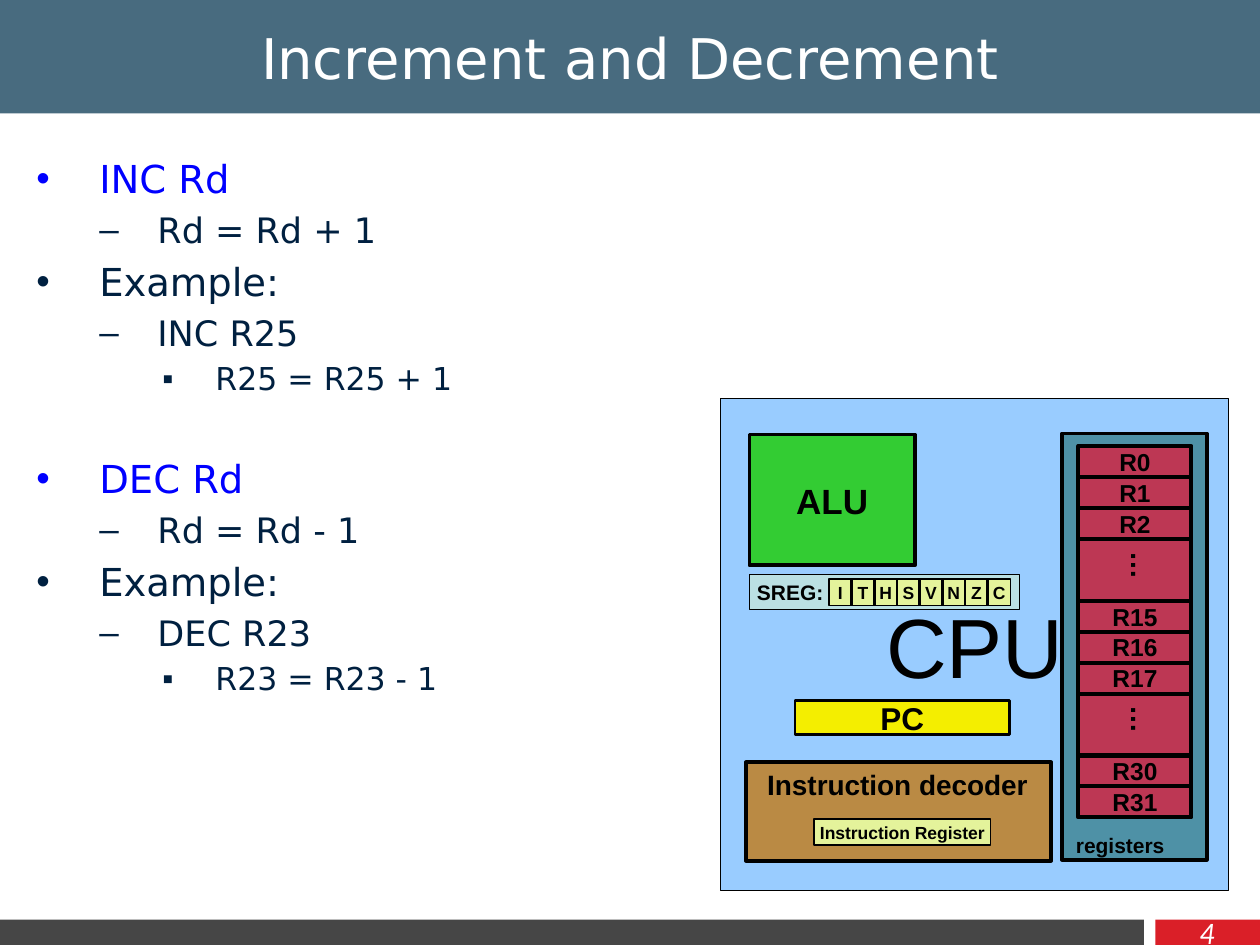
from lxml.etree import SubElement
from pptx import Presentation
from pptx.dml.color import RGBColor
from pptx.enum.shapes import MSO_CONNECTOR, MSO_SHAPE
from pptx.enum.text import MSO_ANCHOR as Anchor, MSO_AUTO_SIZE as AutoSize, PP_ALIGN as Align
from pptx.oxml.ns import qn
from pptx.util import Cm, Pt

COLORS = {
    "header": "486B7F", "page": "DA1F28", "footer": "464646", "white": "FFFFFF",
    "black": "000000", "text": "002040", "instruction": "0000FF",
    "cpu": "99CCFF", "pc": "F4EE00", "alu": "33CC33", "file": "4E91A6",
    "register": "BD3754", "decoder": "BA8A44", "field": "E4F39B", "sreg": "BBE0E3",
}
# Per list level: text size, left margin, first-line indent, bullet
LEVELS = [
    (22, 1.27, -1.27, "•"),
    (20, 2.44, -1.17, "–"),
    (18, 3.61, -1.07, "▪"),
]
# Level, text, colour
BODY = [
    (0, "INC Rd", "instruction"),
    (1, "Rd = Rd + 1", "text"),
    (0, "Example:", "text"),
    (1, "INC R25", "text"),
    (2, "R25 = R25 + 1", "text"),
    (0, "DEC Rd", "instruction"),
    (1, "Rd = Rd - 1", "text"),
    (0, "Example:", "text"),
    (1, "DEC R23", "text"),
    (2, "R23 = R23 - 1", "text"),
]
SECTION_GAP = 33
REGISTERS = ["R0", "R1", "R2", "…", "R15", "R16", "R17", "…", "R30", "R31"]
FLAGS = "ITHSVNZC"


def rgb(name):
    return RGBColor.from_string(COLORS[name])


def place(shape, box):
    shape.left, shape.top, shape.width, shape.height = map(Cm, box)


def format_run(run, size, color="black", font="Arial", bold=False, italic=False):
    run.font.size, run.font.name = Pt(size), font
    run.font.bold, run.font.italic = bold, italic
    run.font.color.rgb = rgb(color)


def write(shape, text, size, align=Align.CENTER, **style):
    """Put one formatted line of text in a shape."""
    paragraph = shape.text_frame.paragraphs[0]
    paragraph.text = text
    paragraph.alignment = align
    format_run(paragraph.runs[0], size, **style)


def add_box(shapes, box, fill, line=None, text=None, size=14, **style):
    """Add a filled rectangle; line is the outline width in points."""
    shape = shapes.add_shape(MSO_SHAPE.RECTANGLE, *map(Cm, box))
    shape.shadow.inherit = False
    shape.fill.solid()
    shape.fill.fore_color.rgb = rgb(fill)
    if line:
        shape.line.color.rgb = rgb("black")
        shape.line.width = Pt(line)
    else:
        shape.line.fill.background()
    if text:
        shape.text_frame.word_wrap = False
        shape.text_frame.vertical_anchor = Anchor.MIDDLE
        write(shape, text, size, **style)
    return shape


def add_label(shapes, box, text, size, align=Align.LEFT):
    label = shapes.add_textbox(*map(Cm, box))
    label.text_frame.word_wrap = True
    write(label, text, size, align, bold=True)
    return label


def add_line(shapes, start, end, width):
    line = shapes.add_connector(MSO_CONNECTOR.STRAIGHT, *map(Cm, start + end))
    line.line.color.rgb = rgb("black")
    line.line.width = Pt(width)
    SubElement(line.element.spPr, qn("a:effectLst"))


def add_frame(slide):
    """Add the header, footer and page number bars."""
    header = add_box(slide.shapes, (0, 0, 25.4, 2.29), "header")
    header.element.getparent().insert(2, header.element)  # behind the title
    add_box(slide.shapes, (23.29, 18.54, 2.11, 0.53), "page", text="4", size=16,
            font="Lato", color="white", italic=True)
    add_box(slide.shapes, (0, 18.54, 23.06, 0.51), "footer")


def fill_title(title):
    place(title, (0.64, 0.2, 24.13, 1.9))
    title.text_frame.auto_size = AutoSize.NONE
    title.text_frame.vertical_anchor = Anchor.MIDDLE
    write(title, "Increment and Decrement", 32, font="DejaVu Sans", color="white")


def fill_body(body):
    place(body, (0.48, 3, 24.23, 14.96))
    frame = body.text_frame
    frame.text = "\n".join(text for _, text, _ in BODY)
    frame.auto_size = AutoSize.NONE
    for paragraph, (level, text, color) in zip(frame.paragraphs, BODY):
        size, margin, indent, bullet = LEVELS[level]
        paragraph.level = level
        paragraph.space_before = Pt(SECTION_GAP if text == "DEC Rd" else size * 0.2)
        format_run(paragraph.runs[0], size, color, "DejaVu Sans")
        properties = paragraph._p.get_or_add_pPr()
        properties.set("marL", str(Cm(margin)))
        properties.set("indent", str(Cm(indent)))
        SubElement(properties, qn("a:buFont"), typeface="Arial")
        SubElement(properties, qn("a:buChar"), char=bullet)
    frame.paragraphs[0].space_before = Pt(2)


def add_register_file(shapes):
    """Stack the registers; an ellipsis takes two rows."""
    left, top, width, height = 21.74, 8.99, 2.28, 7.49
    add_box(shapes, (21.41, 8.74, 2.92, 8.59), "file", 2.25)
    add_label(shapes, (21.44, 16.66, 2.9, 0.76), "registers", 12)
    row = height / (len(REGISTERS) + REGISTERS.count("…"))
    y = top
    for name in REGISTERS:
        if name == "…":
            add_box(shapes, (left, y, width, 2 * row), "register", 2.25)
            dots = add_label(shapes, (22.4, y + 0.15, 1.24, 0.94), name, 16)
            dots.rotation = 90
            y += 2 * row
        else:
            add_box(shapes, (left, y, width, row), "register", 2.25, name, bold=True)
            y += row
    right, bottom = 24, 16.15
    add_line(shapes, (left, top), (left, bottom), 2.25)
    add_line(shapes, (right, top), (right, bottom), 2.25)
    add_line(shapes, (left, top), (right, top), 2.25)


def add_status_register(shapes):
    left, top, width, height = 16.71, 11.68, 3.66, 0.53
    add_box(shapes, (15.11, 11.58, 5.44, 0.71), "sreg", 0.75)
    add_label(shapes, (15.01, 11.56, 2.24, 0.76), "SREG:", 12)
    add_box(shapes, (left, top, width, height), "field", 1)
    cell = width / len(FLAGS)
    for index, flag in enumerate(FLAGS):
        x = left + index * cell
        if index:
            add_line(shapes, (x, top), (x, top + height), 1.5)
        label = add_label(shapes, (x, top, cell, height), flag, 10, Align.CENTER)
        frame = label.text_frame
        frame.margin_left = frame.margin_right = 0
        frame.margin_top = frame.margin_bottom = 0
        frame.vertical_anchor = Anchor.MIDDLE


def add_cpu(slide):
    shapes = slide.shapes.add_group_shape().shapes
    add_box(shapes, (14.53, 8.03, 10.24, 9.93), "cpu", 0.75, "CPU", 48)
    add_box(shapes, (16.03, 14.12, 4.32, 0.69), "pc", 1.5, "PC", 18, bold=True)
    add_box(shapes, (15.11, 8.76, 3.33, 2.64), "alu", 2.25, "ALU", 20, bold=True)
    add_register_file(shapes)
    add_box(shapes, (15.04, 15.37, 6.15, 1.98), "decoder", 2.25)
    add_box(shapes, (16.41, 16.51, 3.56, 0.53), "field", 1,
            "Instruction Register", 10, bold=True)
    add_label(shapes, (15.16, 15.34, 5.87, 0.94), "Instruction decoder", 16, Align.CENTER)
    add_status_register(shapes)


def main():
    presentation = Presentation()
    presentation.slide_width, presentation.slide_height = Cm(25.4), Cm(19.05)
    slide = presentation.slides.add_slide(presentation.slide_layouts[1])
    add_frame(slide)
    fill_title(slide.shapes.title)
    fill_body(slide.placeholders[1])
    add_cpu(slide)
    presentation.save("out.pptx")


if __name__ == "__main__":
    main()
